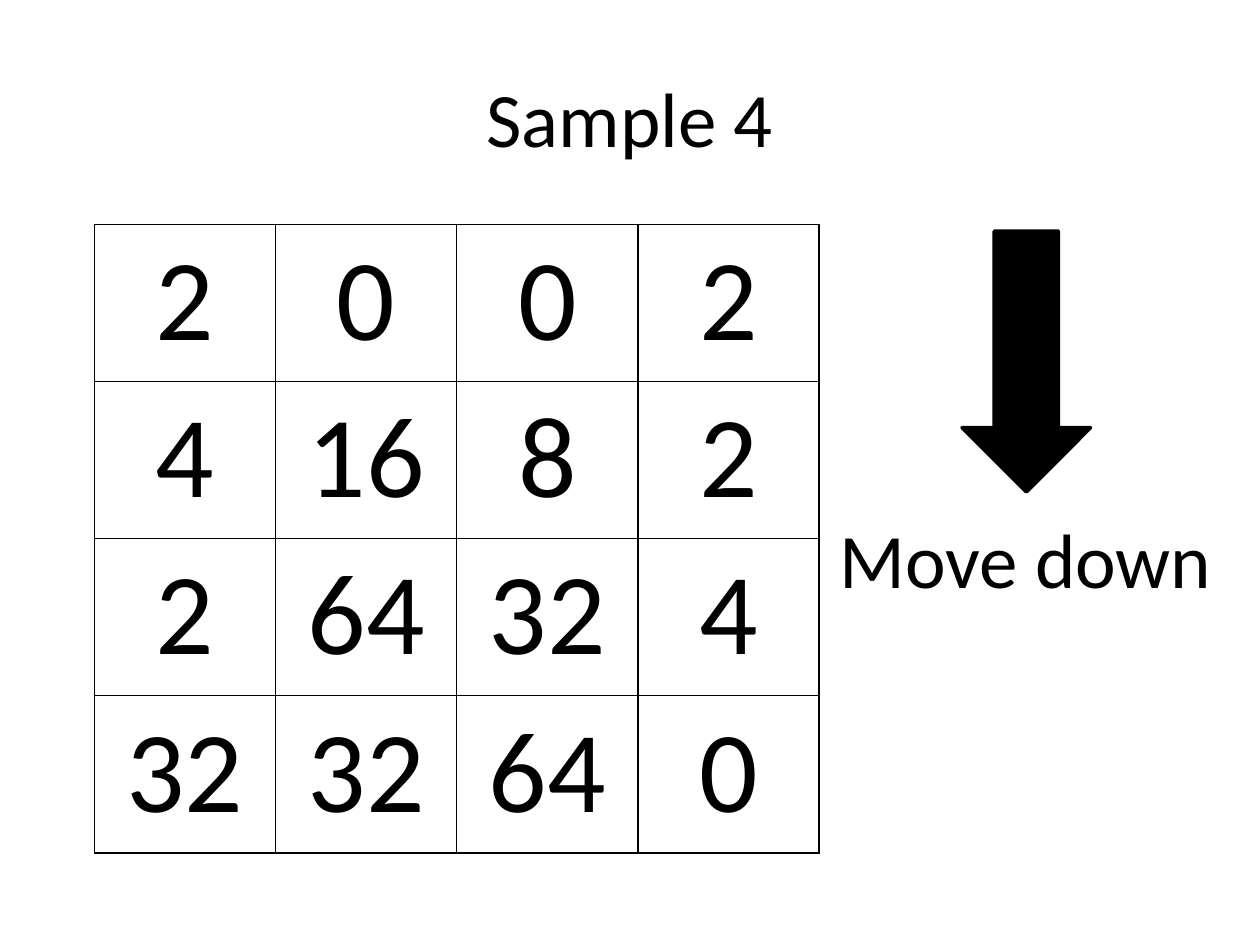
"""Build the Sample 4 slide: a 4 by 4 number board and its move."""
import pptx
import pptx.dml.color
import pptx.enum.shapes
import pptx.enum.text
import pptx.oxml
import pptx.oxml.ns
import pptx.util
from pptx.util import Inches

COLORS = {"ink": "000000"}
FONT = "Calibri"
BOARD = [
    [2, 0, 0, 2],
    [4, 16, 8, 2],
    [2, 64, 32, 4],
    [32, 32, 64, 0],
]


def ink():
    return pptx.dml.color.RGBColor.from_string(COLORS["ink"])


def write(frame, text, size):
    paragraph = frame.paragraphs[0]
    paragraph.alignment = pptx.enum.text.PP_ALIGN.CENTER
    run = paragraph.add_run()
    run.text = text
    run.font.name = FONT
    run.font.size = pptx.util.Pt(size)
    run.font.color.rgb = ink()


def add_title(slide, text):
    title = slide.shapes.title
    title.left, title.top = Inches(0.5), Inches(0.3)
    title.width, title.height = Inches(9), Inches(1.25)
    title.text_frame.vertical_anchor = pptx.enum.text.MSO_ANCHOR.MIDDLE
    write(title.text_frame, text, 44)


def outline_cell(cell):
    properties = cell._tc.get_or_add_tcPr()
    for side in ("lnL", "lnR", "lnT", "lnB"):
        properties.append(pptx.oxml.parse_xml(
            f'<a:{side} {pptx.oxml.ns.nsdecls("a")} w="{pptx.util.Pt(1)}">'
            f'<a:solidFill><a:srgbClr val="{COLORS["ink"]}"/></a:solidFill></a:{side}>'))
    cell.fill.background()


def add_board(slide, rows):
    board = slide.shapes.add_table(
        len(rows), len(rows[0]), Inches(0.75), Inches(1.78), Inches(5.75), Inches(4.99)).table
    board.first_row = board.horz_banding = False
    for r, numbers in enumerate(rows):
        for c, number in enumerate(numbers):
            cell = board.cell(r, c)
            write(cell.text_frame, str(number), 66)
            outline_cell(cell)


def add_move_label(slide, text):
    label = slide.shapes.add_textbox(Inches(6.56), Inches(4.01), Inches(3.16), Inches(0.84))
    label.text_frame.word_wrap = False
    label.text_frame.auto_size = pptx.enum.text.MSO_AUTO_SIZE.SHAPE_TO_FIT_TEXT
    write(label.text_frame, text, 44)


def add_move_arrow(slide):
    arrow = slide.shapes.add_shape(
        pptx.enum.shapes.MSO_SHAPE.RIGHT_ARROW,
        Inches(7.11), Inches(2.36), Inches(2.07), Inches(1.02))
    arrow.rotation = 90
    arrow.shadow.inherit = False
    arrow.fill.solid()
    arrow.fill.fore_color.rgb = ink()
    arrow.line.color.rgb = ink()
    arrow.line.width = pptx.util.Pt(2)


def main():
    deck = pptx.Presentation()
    deck.slide_width, deck.slide_height = Inches(10), Inches(7.5)
    slide = deck.slides.add_slide(deck.slide_layouts[5])
    add_title(slide, "Sample 4")
    add_board(slide, BOARD)
    add_move_label(slide, "Move down")
    add_move_arrow(slide)
    deck.save("out.pptx")


if __name__ == "__main__":
    main()
